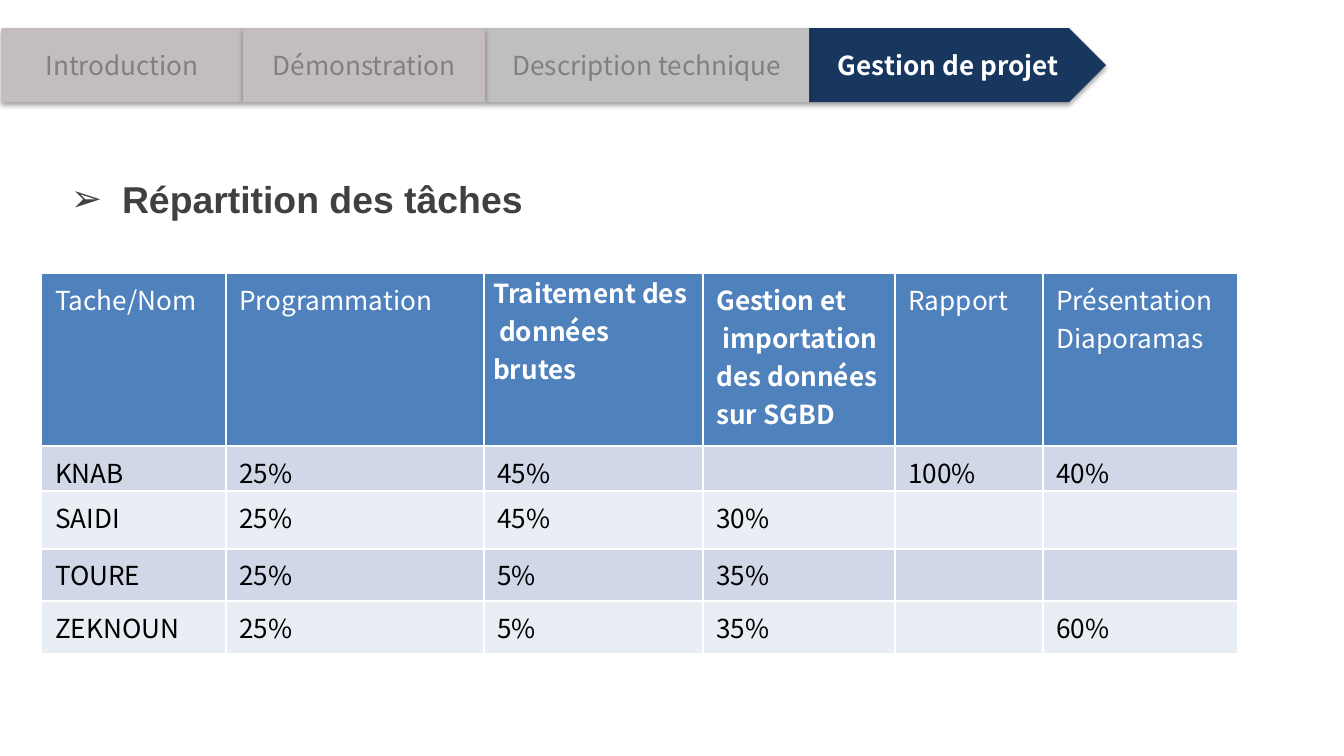
from itertools import accumulate

from lxml import etree
from pptx import Presentation
from pptx.dml.color import RGBColor
from pptx.enum.shapes import MSO_SHAPE
from pptx.enum.text import MSO_ANCHOR, PP_ALIGN
from pptx.oxml import parse_xml
from pptx.oxml.ns import qn
from pptx.util import Inches, Pt

TAB = MSO_SHAPE.PENTAGON
MIDDLE = MSO_ANCHOR.MIDDLE
CENTER = PP_ALIGN.CENTER
SANS = "Noto Sans CJK KR"
SPACE = "http://schemas.openxmlformats.org/drawingml/2006/main"

TABS = [
    ("Introduction", 18, "C3BDC0"),
    ("Démonstration", 18, "C3BDC0"),
    ("Description technique", 24.1, "BFBFBF"),
    ("Gestion de projet", 22.1, "17375E"),
]
COLS = [13.7, 19.2, 16.3, 14.3, 11, 14.5]
ROWS = [12.9, 3.3, 4.3, 3.9, 3.9]
CELLS = [
    ["Tache/Nom", "Programmation", "Traitement des\v données brutes",
     "Gestion et\n importation des données sur SGBD", "Rapport",
     "Présentation\nDiaporamas"],
    ["KNAB", "25%", "45%", "", "100%", "40%"],
    ["SAIDI", "25%", "45%", "30%", "", ""],
    ["TOURE", "25%", "5%", "35%", "", ""],
    ["ZEKNOUN", "25%", "5%", "35%", "", "60%"],
]


def unit(count):
    """Return the length of a number of grid steps, a hundred to the width."""
    return Inches(round(count / 10, 2))


def color(value):
    """Turn a hex string into a colour."""
    return RGBColor.from_string(value)


def paint(item, value):
    """Fill a shape or cell with one colour."""
    item.fill.solid()
    item.fill.fore_color.rgb = color(value)


def write(frame, text, size=14, font=SANS, ink="000000", bold=False, align=None):
    """Write text, one paragraph a line, in the given format."""
    frame.text = text
    for para in frame.paragraphs:
        if align is not None:
            para.alignment = align
        for run in para.runs:
            run.font.size = Pt(size)
            run.font.name = font
            run.font.bold = bold
            run.font.color.rgb = color(ink)
        if not para.runs:
            tail = etree.SubElement(para._p, qn("a:endParaRPr"))
            tail.set("sz", str(size * 100))
            etree.SubElement(tail, qn("a:latin")).set("typeface", font)


def shade(shape):
    """Give a shape a soft shadow below it."""
    shape.shadow.inherit = False
    props = shape.element.spPr
    props.remove(props.find(qn("a:effectLst")))
    props.append(parse_xml(
        f'<a:effectLst xmlns:a="{SPACE}"><a:outerShdw blurRad="{Pt(3.1)}" '
        f'dist="{Pt(1.6)}" dir="5400000" rotWithShape="0">'
        '<a:srgbClr val="000000"><a:alpha val="38000"/></a:srgbClr>'
        '</a:outerShdw></a:effectLst>'))


def add_tab(slide, left, name, width, fill, live):
    """Add one step of the navigation bar."""
    shape = slide.shapes.add_shape(TAB, unit(left), unit(2.1), unit(width), unit(5.5))
    shape.adjustments[0] = 0.5 if live else 0
    paint(shape, fill)
    shape.line.fill.background()
    shade(shape)
    shape.text_frame.vertical_anchor = MIDDLE
    write(shape.text_frame, name, ink="FFFFFF" if live else "808080",
          bold=live, align=CENTER)


def add_title(slide):
    """Add the title with its arrow bullet."""
    box = slide.shapes.add_textbox(unit(4.3), unit(12.4), unit(43.3), unit(4.7))
    frame = box.text_frame
    frame.word_wrap = True
    frame.vertical_anchor = MIDDLE
    write(frame, "Répartition des tâches", size=20, font="Arial",
          ink="404040", bold=True)
    para = frame.paragraphs[0]
    para.space_before = Pt(12)
    props = para._p.get_or_add_pPr()
    props.set("marL", str(unit(3.8)))
    props.set("indent", str(-unit(3.8)))
    etree.SubElement(props, qn("a:buFont")).set("typeface", "Arial")
    etree.SubElement(props, qn("a:buChar")).set("char", "➢")


def edge(cell):
    """Draw thin white borders round a cell."""
    props = cell._tc.get_or_add_tcPr()
    for spot, side in enumerate("LRTB"):
        props.insert(spot, parse_xml(
            f'<a:ln{side} xmlns:a="{SPACE}" w="{Pt(1)}"><a:solidFill>'
            f'<a:srgbClr val="FFFFFF"/></a:solidFill></a:ln{side}>'))


def add_grid(slide):
    """Add the table of tasks and names."""
    table = slide.shapes.add_table(
        len(ROWS), len(COLS), unit(3.1), unit(20.3),
        unit(sum(COLS)), unit(sum(ROWS))).table
    for col, width in zip(table.columns, COLS):
        col.width = unit(width)
    for row, height in zip(table.rows, ROWS):
        row.height = unit(height)
    for r, line in enumerate(CELLS):
        head = r == 0
        for c, text in enumerate(line):
            cell = table.cell(r, c)
            paint(cell, "4F81BD" if head else ("E9EDF4", "D0D8E8")[r % 2])
            edge(cell)
            write(cell.text_frame, text, ink="FFFFFF" if head else "000000",
                  bold=head and c in (2, 3))
    tight = table.cell(0, 2)
    tight.margin_left = tight.margin_right = unit(0.7)
    tight.margin_top = tight.margin_bottom = 0


def main():
    """Build the slide and save it."""
    deck = Presentation()
    deck.slide_width = unit(100)
    deck.slide_height = deck.slide_width * 9 // 16
    slide = deck.slides.add_slide(deck.slide_layouts[6])
    lefts = list(accumulate((width for _, width, _ in TABS), initial=0.1))
    add_tab(slide, lefts[0], *TABS[0], False)
    add_tab(slide, lefts[3], *TABS[3], True)
    add_title(slide)
    add_grid(slide)
    for spot in (2, 1):
        add_tab(slide, lefts[spot], *TABS[spot], False)
    deck.save("out.pptx")


if __name__ == "__main__":
    main()
